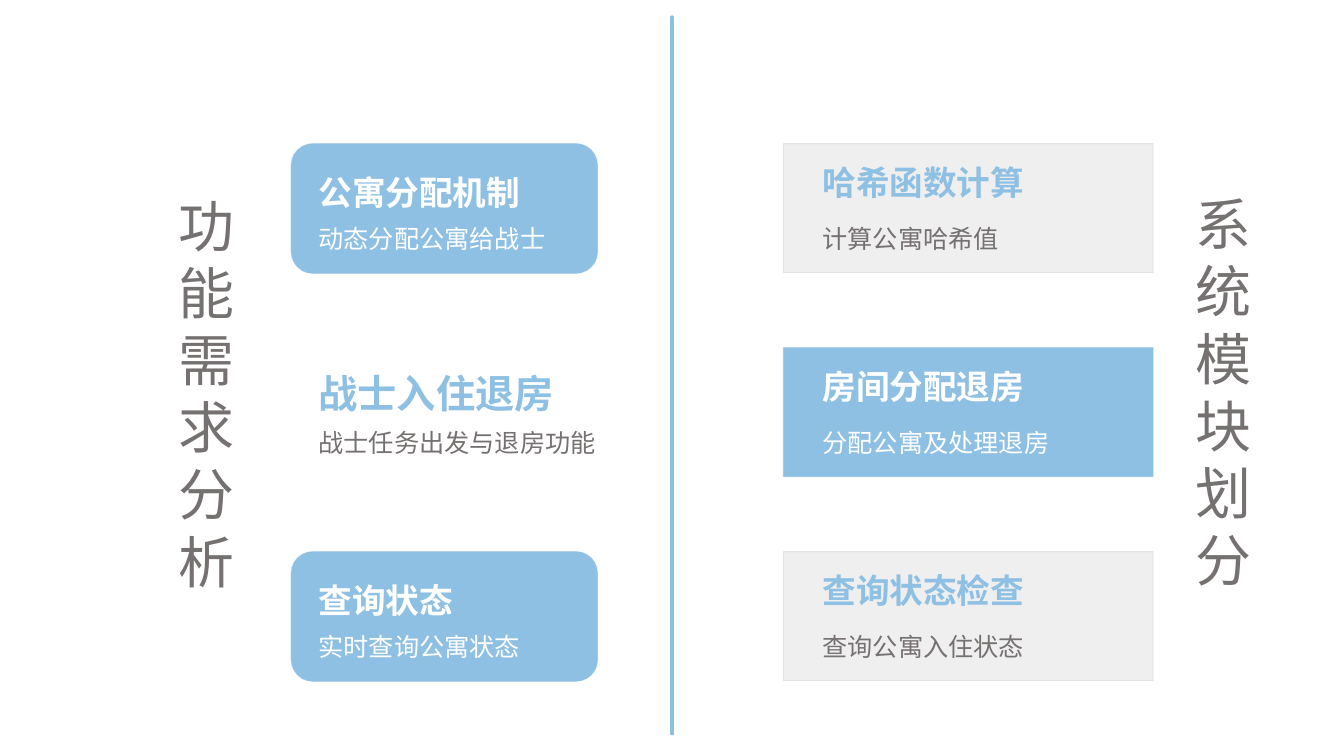
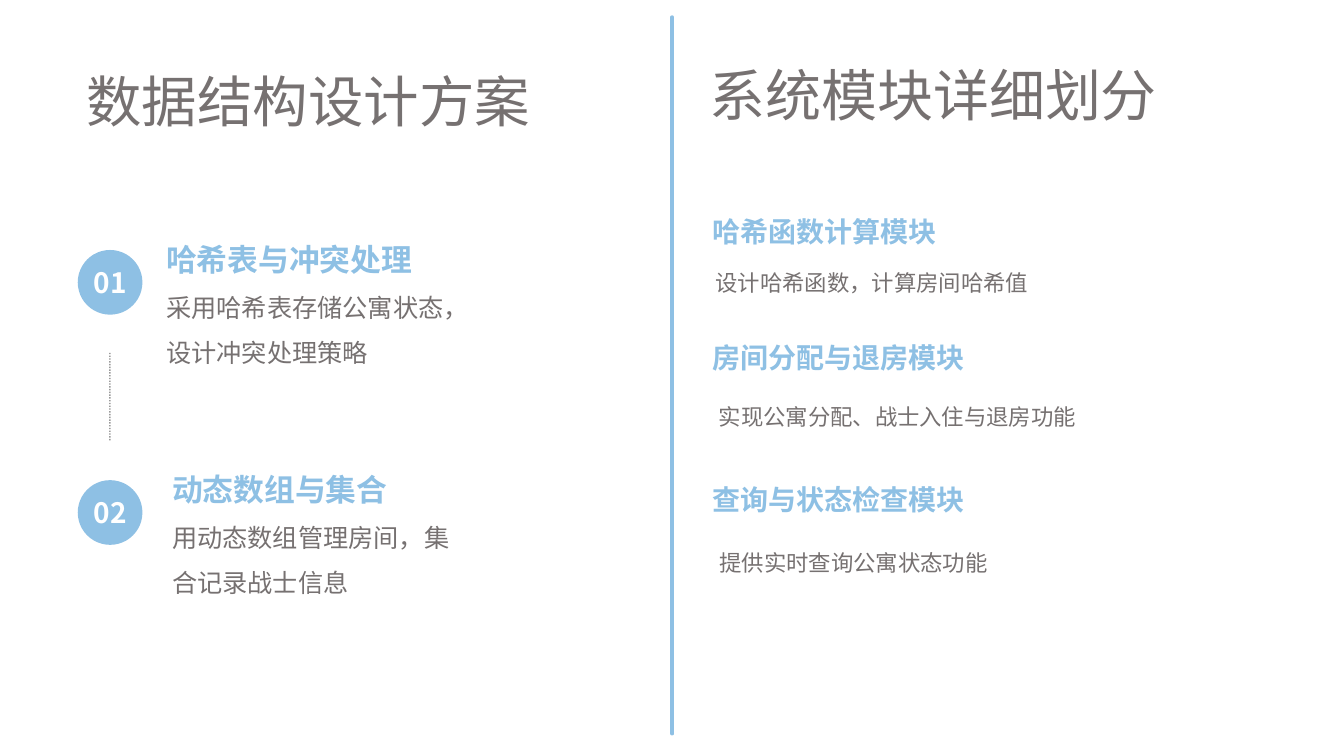
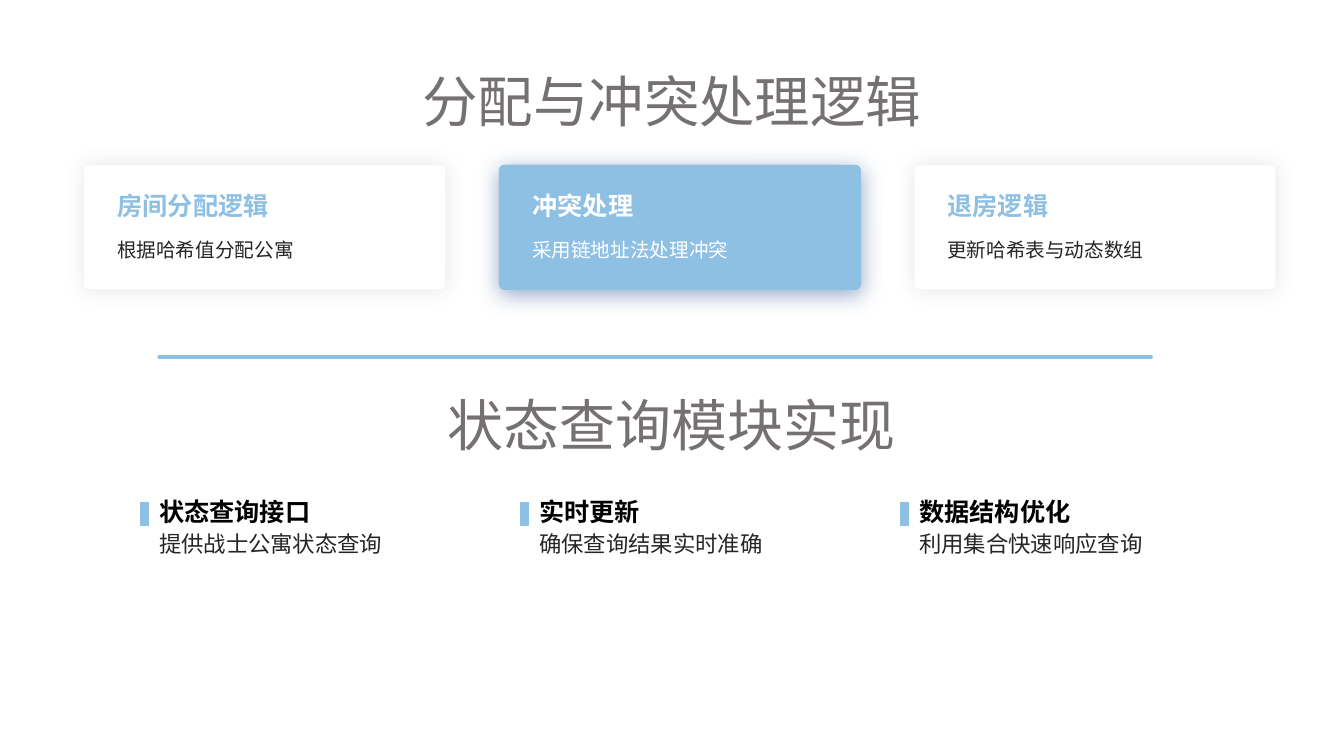
"""Build three slides on the apartment allocation system: needs, modules and logic."""
from lxml import etree
from pptx import Presentation
from pptx.dml.color import RGBColor
from pptx.enum.dml import MSO_LINE
from pptx.enum.shapes import MSO_CONNECTOR, MSO_SHAPE
from pptx.enum.text import MSO_ANCHOR, MSO_AUTO_SIZE, PP_ALIGN
from pptx.oxml.ns import qn
from pptx.util import Cm, Pt

ROUNDED, RECT, OVAL = MSO_SHAPE.ROUNDED_RECTANGLE, MSO_SHAPE.RECTANGLE, MSO_SHAPE.OVAL
TOP, MIDDLE, BOTTOM = MSO_ANCHOR.TOP, MSO_ANCHOR.MIDDLE, MSO_ANCHOR.BOTTOM
LEFT, CENTER, JUSTIFY = PP_ALIGN.LEFT, PP_ALIGN.CENTER, PP_ALIGN.JUSTIFY
STRAIGHT, DOTTED, SOLID = MSO_CONNECTOR.STRAIGHT, MSO_LINE.ROUND_DOT, MSO_LINE.SOLID
FIXED = MSO_AUTO_SIZE.NONE
SC, JP = "Noto Sans CJK SC", "Noto Sans CJK JP"
COLORS = {
    "blue": "8EC0E4", "gray": "767171", "silver": "999999", "white": "FFFFFF",
    "ink": "262626", "black": "000000", "navy": "2F5597",
}
FLUSH = {"margin_left": 0, "margin_right": 0, "margin_top": 0, "margin_bottom": 0}
PADDED = {"margin_left": Cm(0.25), "margin_right": Cm(0.25),
          "margin_top": Cm(0.13), "margin_bottom": Cm(0.13)}
HEADLINE = {"size": 40, "color": "gray", "margins": PADDED}
TITLE = {**HEADLINE, "size": 39.6, "anchor": MIDDLE, "spacing": 0.9}
TITLE_BOX = (1.93, 1.88, 30, 1.5)


def write(shape, box, text, size, color, bold=False, font=SC, anchor=TOP,
          align=LEFT, spacing=1.0, margins=FLUSH, wrap=True):
    """Place a shape and give it one formatted paragraph."""
    for side, length in zip(("left", "top", "width", "height"), box):
        setattr(shape, side, Cm(length))
    frame = shape.text_frame
    frame.text = text
    paragraph = frame.paragraphs[0]
    run_font = paragraph.runs[0].font
    formats = (
        (frame, {**margins, "auto_size": FIXED, "word_wrap": wrap, "vertical_anchor": anchor}),
        (paragraph, {"alignment": align, "line_spacing": spacing}),
        (run_font, {"size": Pt(size), "bold": bold, "name": font}),
    )
    for target, values in formats:
        for name, value in values.items():
            setattr(target, name, value)
    run_font.color.rgb = RGBColor.from_string(COLORS[color])
    for properties in shape.element.xpath(".//a:r/a:rPr"):
        etree.SubElement(properties, qn("a:ea"), typeface=font)


def add_panel(slide, kind, box, fill, fill_alpha=100, line=None, line_width=0.75, line_alpha=100):
    """Add a filled shape without shadow, outlined on request."""
    panel = slide.shapes.add_shape(kind, *map(Cm, box))
    panel.shadow.inherit = False
    panel.fill.solid()
    panel.fill.fore_color.rgb = RGBColor.from_string(COLORS[fill])
    if line:
        panel.line.color.rgb = RGBColor.from_string(COLORS[line])
        panel.line.width = Pt(line_width)
    else:
        panel.line.fill.background()
    for part, alpha in (("a:solidFill", fill_alpha), ("a:ln/a:solidFill", line_alpha)):
        for color in panel.element.xpath(f"./p:spPr/{part}/a:srgbClr"):
            etree.SubElement(color, qn("a:alpha"), val=str(alpha * 1000))
    return panel


deck = Presentation()
deck.slide_width, deck.slide_height = Cm(33.87), Cm(19.05)
needs, design, logic = [deck.slides.add_slide(deck.slide_layouts[5]) for _ in range(3)]

write(needs.shapes.title, (4.24, 3.48, 2.13, 12.83), "功能需求分析",
      **{**HEADLINE, "anchor": MIDDLE})
write(needs.shapes.add_textbox(0, 0, 0, 0), (29.87, 4.65, 2.13, 10.52), "系统模块划分", **HEADLINE)
write(design.shapes.title, TITLE_BOX, "数据结构设计方案", **TITLE)
write(design.shapes.add_textbox(0, 0, 0, 0), (17.63, 1.4, 16, 1.96), "系统模块详细划分", **HEADLINE)
write(logic.shapes.title, TITLE_BOX, "分配与冲突处理逻辑", **{**TITLE, "align": CENTER})
write(logic.shapes.add_textbox(0, 0, 0, 0), (9.75, 9.27, 14.35, 3.05), "状态查询模块实现",
      **{**TITLE, "size": 40, "align": CENTER})

needs_rows = [
    ("公寓分配机制", "动态分配公寓给战士", True, 24, SC, "哈希函数计算", "计算公寓哈希值"),
    ("战士入住退房", "战士任务出发与退房功能", False, 28, JP, "房间分配退房", "分配公寓及处理退房"),
    ("查询状态", "实时查询公寓状态", True, 24, JP, "查询状态检查", "查询公寓入住状态"),
]
for index, (need, need_detail, filled, need_size, need_font, module, detail) in enumerate(needs_rows):
    top = 3.62 + 5.14 * index
    if filled:
        add_panel(needs, ROUNDED, (7.34, top, 7.72, 3.27), "blue", line="blue", line_alpha=50)
        add_panel(needs, RECT, (19.74, top, 9.32, 3.25), "silver", 15, "silver", line_alpha=20)
    else:
        add_panel(needs, RECT, (19.74, top, 9.32, 3.25), "blue", line="blue", line_alpha=50)
    need_colors = ("white", "white") if filled else ("blue", "gray")
    module_colors = ("blue", "gray") if filled else ("white", "white")
    write(needs.shapes.add_textbox(0, 0, 0, 0), (8.03, top + 0.24, 6.58, 1.5), need, need_size,
          need_colors[0], bold=True, font=need_font, anchor=BOTTOM)
    write(needs.shapes.add_textbox(0, 0, 0, 0), (8.03, top + 2, 7.04, 1.2), need_detail, 18,
          need_colors[1])
    write(needs.shapes.add_textbox(0, 0, 0, 0), (20.73, top + 0.24, 7.39, 1.47), module, 24,
          module_colors[0], bold=True, anchor=MIDDLE)
    write(needs.shapes.add_textbox(0, 0, 0, 0), (20.73, top + 2, 8.1, 1.04), detail, 18,
          module_colors[1], align=JUSTIFY)

structures = [
    ("01", "哈希表与冲突处理", "采用哈希表存储公寓状态，设计冲突处理策略", 4.19, 7.19),
    ("02", "动态数组与集合", "用动态数组管理房间，集合记录战士信息", 4.34, 7.01),
]
for index, (number, structure, detail, left, width) in enumerate(structures):
    top = 5.92 + 5.8 * index
    badge_box = (1.96, top + 0.38, 1.63, 1.63)
    write(add_panel(design, OVAL, badge_box, "blue"), badge_box, number, 20, "white",
          bold=True, anchor=MIDDLE, align=CENTER, wrap=False)
    write(design.shapes.add_textbox(0, 0, 0, 0), (left, top, width, 1.07), structure, 22, "blue",
          bold=True, anchor=BOTTOM)
    write(design.shapes.add_textbox(0, 0, 0, 0), (left, top + 1.06, width, 3.68), detail, 18,
          "gray", spacing=1.5)

modules = [
    ("哈希函数计算模块", 4.98, "设计哈希函数，计算房间哈希值", 6.45, 8.03),
    ("房间分配与退房模块", 8.15, "实现公寓分配、战士入住与退房功能", 9.83, 9.32),
    ("查询与状态检查模块", 11.73, "提供实时查询公寓状态功能", 13.51, 7.11),
]
for module, top, detail, detail_top, detail_width in modules:
    write(design.shapes.add_textbox(0, 0, 0, 0), (17.96, top, 7.11, 1.27), module, 20, "blue",
          bold=True, anchor=BOTTOM)
    write(design.shapes.add_textbox(0, 0, 0, 0), (17.96, detail_top, detail_width, 1.3), detail,
          16, "gray", align=CENTER, spacing=1.5)

plain_card = {"fill": "white", "heading": "blue", "detail": "ink", "line": None,
              "shadow": "black", "alpha": 10, "distance": 0}
accent_card = {"fill": "blue", "heading": "white", "detail": "white", "line": "blue",
               "shadow": "navy", "alpha": 50, "distance": 3}
logic_cards = [
    ("房间分配逻辑", "根据哈希值分配公寓", plain_card),
    ("冲突处理", "采用链地址法处理冲突", accent_card),
    ("退房逻辑", "更新哈希表与动态数组", plain_card),
]
for index, (heading, detail, look) in enumerate(logic_cards):
    left = 2.13 + 10.46 * index
    card = add_panel(logic, ROUNDED, (left, 4.17, 9.09, 3.12), look["fill"],
                     line=look["line"], line_width=1)
    card.adjustments[0] = 0.04
    effects = card.element.xpath("./p:spPr/a:effectLst")[0]
    shadow = etree.SubElement(effects, qn("a:outerShdw"), blurRad=str(Pt(16)),
                              dist=str(Pt(look["distance"])), dir="5400000",
                              algn="ctr", rotWithShape="0")
    tint = etree.SubElement(shadow, qn("a:srgbClr"), val=COLORS[look["shadow"]])
    etree.SubElement(tint, qn("a:alpha"), val=str(look["alpha"] * 1000))
    write(logic.shapes.add_textbox(0, 0, 0, 0), (left + 0.83, 4.17, 7.47, 1.4), heading, 18,
          look["heading"], bold=True, anchor=BOTTOM)
    write(logic.shapes.add_textbox(0, 0, 0, 0), (left + 0.82, 5.69, 7.49, 1.24), detail, 14,
          look["detail"], spacing=1.5)

query_points = [
    ("状态查询接口", "提供战士公寓状态查询"),
    ("实时更新", "确保查询结果实时准确"),
    ("数据结构优化", "利用集合快速响应查询"),
]
for index, (heading, detail) in enumerate(query_points):
    left = 4.01 + 9.58 * index
    add_panel(logic, RECT, (left - 0.47, 12.67, 0.2, 0.56), "blue", line="blue", line_width=1)
    write(logic.shapes.add_textbox(0, 0, 0, 0), (left, 12.6, 5.92, 0.76), heading, 18, "black",
          bold=True, font=JP, spacing=0.9)
    write(logic.shapes.add_textbox(0, 0, 0, 0), (left, 13.44, 5.92, 1.83), detail, 16, "ink",
          spacing=0.9)

dividers = [
    (needs, (16.94, 0.43, 16.94, 18.49), "blue", 2.5, SOLID, 100, "rnd"),
    (design, (16.94, 0.43, 16.94, 18.49), "blue", 2.5, SOLID, 100, "rnd"),
    (design, (2.77, 8.89, 2.77, 11.1), "black", 1, DOTTED, 40, "flat"),
    (logic, (4.01, 8.99, 29.01, 8.99), "blue", 2.5, SOLID, 100, "rnd"),
]
for slide, ends, color, width, dash, alpha, cap in dividers:
    divider = slide.shapes.add_connector(STRAIGHT, *map(Cm, ends))
    divider.line.color.rgb = RGBColor.from_string(COLORS[color])
    divider.line.width = Pt(width)
    divider.line.dash_style = dash
    outline = divider.element.xpath("./p:spPr/a:ln")[0]
    outline.set("cap", cap)
    tint = outline.xpath("./a:solidFill/a:srgbClr")[0]
    etree.SubElement(tint, qn("a:alpha"), val=str(alpha * 1000))
    etree.SubElement(divider.element.spPr, qn("a:effectLst"))

deck.save("out.pptx")
